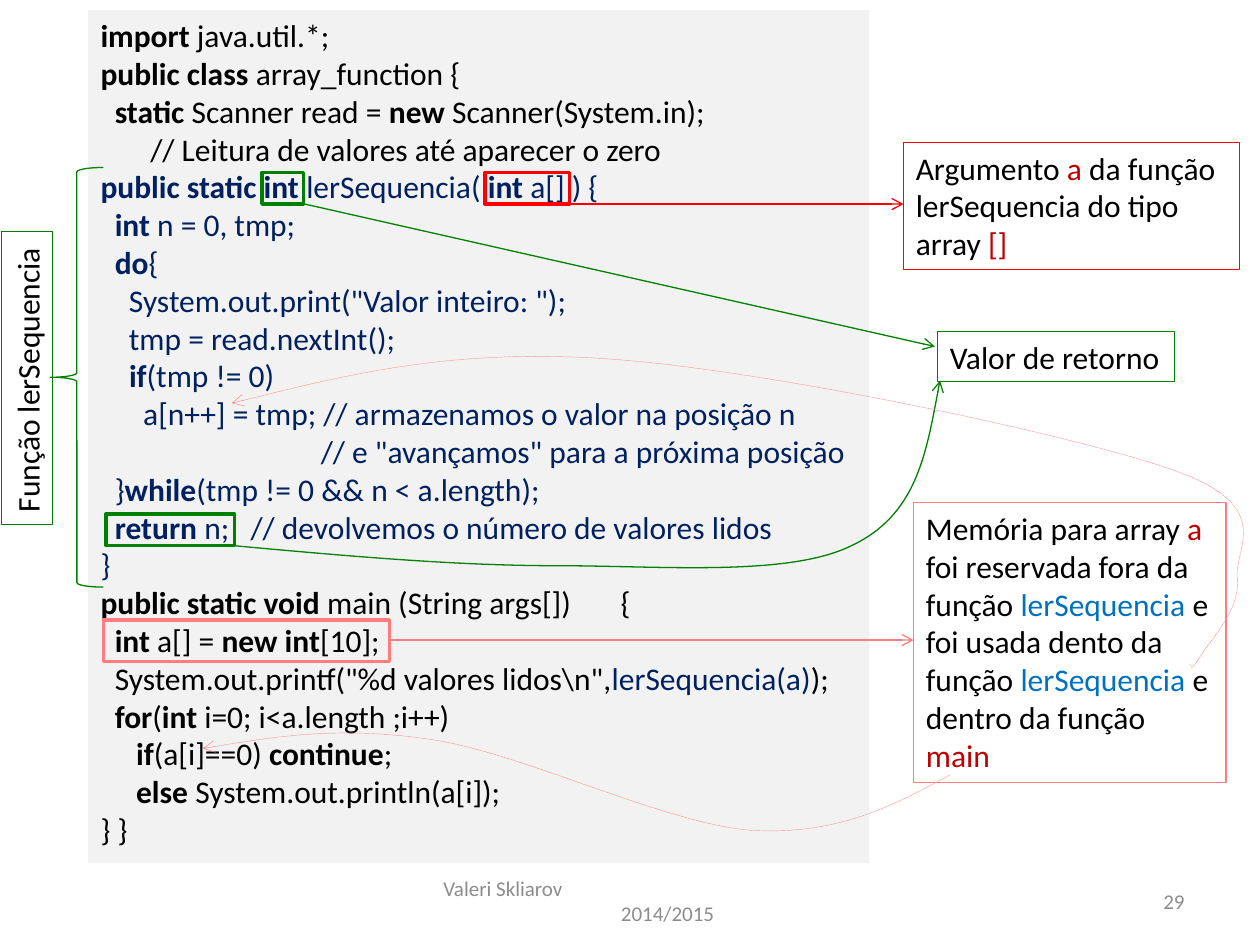
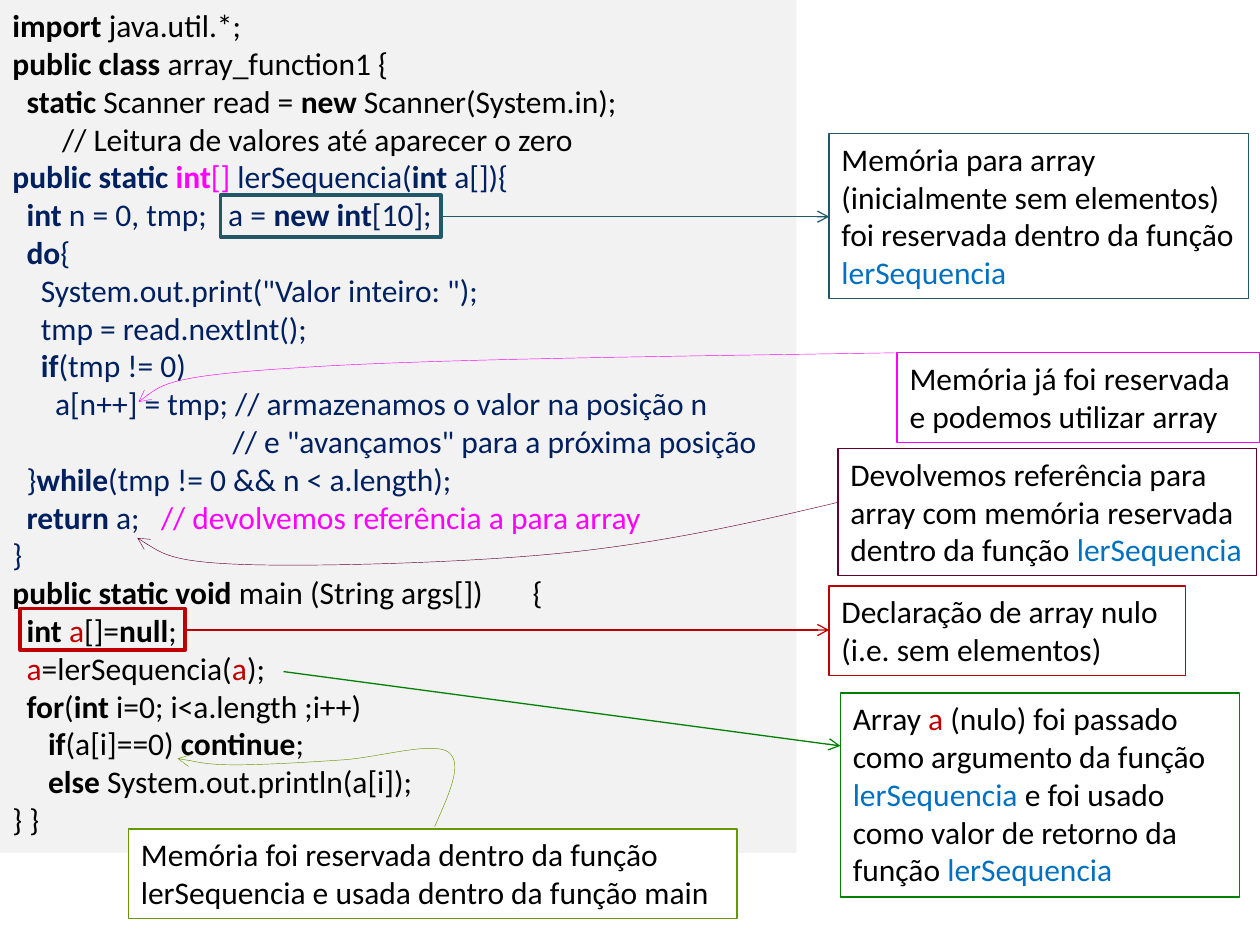
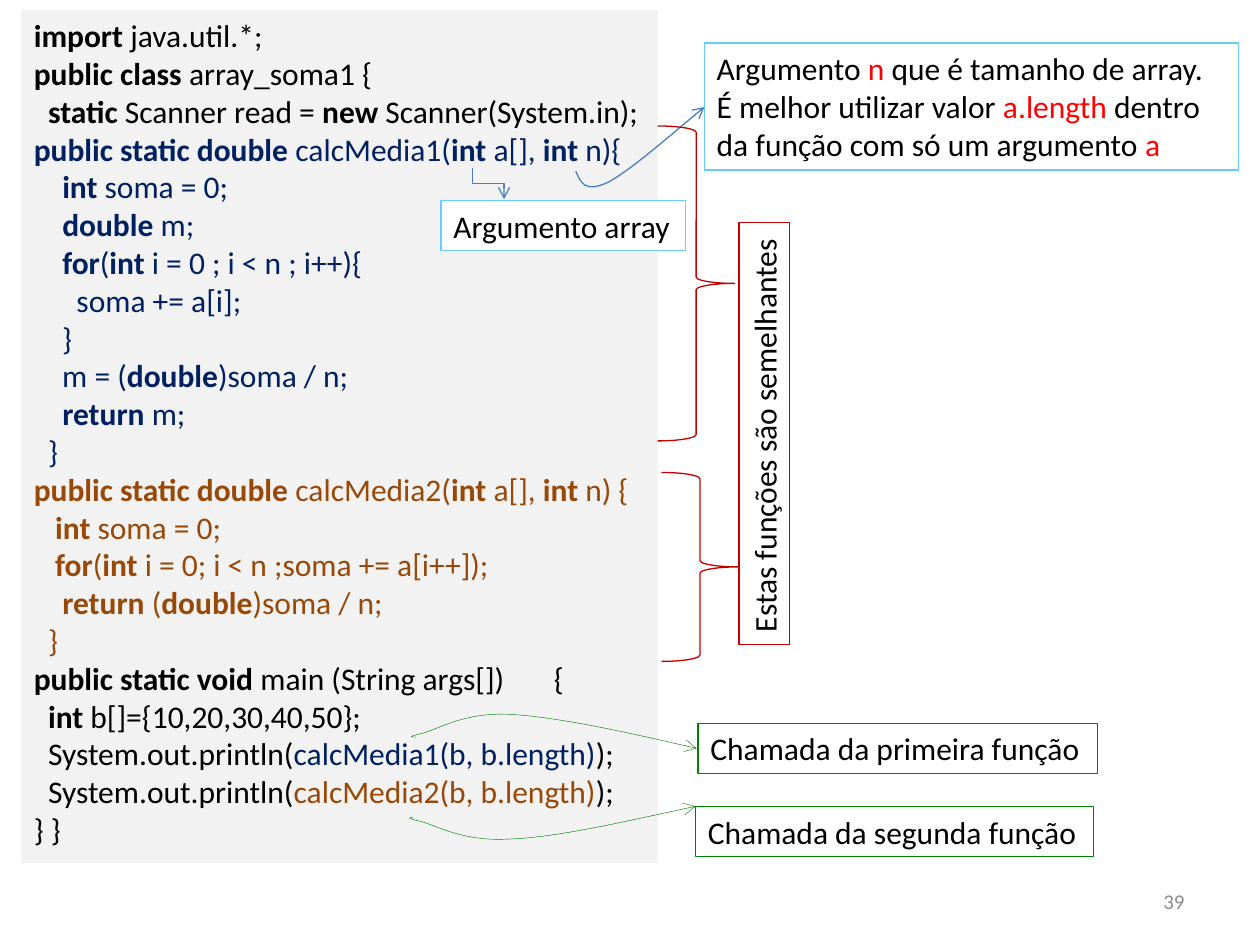
"""Build three slides that explain Java functions with array arguments."""
from dataclasses import dataclass, field
from functools import singledispatch
from typing import NamedTuple, Optional

from lxml.etree import Element, SubElement
from pptx import Presentation
from pptx.dml.color import RGBColor as Rgb
from pptx.enum.dml import MSO_LINE as Dash
from pptx.enum.shapes import MSO_CONNECTOR as Link, MSO_SHAPE as Form
from pptx.enum.text import MSO_ANCHOR as Anchor, MSO_AUTO_SIZE as Fit, PP_ALIGN as Align
from pptx.oxml.ns import qn
from pptx.slide import Slide
from pptx.util import Inches, Pt

WIDE, HIGH = Inches(10), Inches(7.5)
CELL = WIDE / 100
Spot = tuple[float, float]
Box = tuple[float, float, float, float]


@dataclass(frozen=True)
class Theme:
    """Colours by one-letter or plain name, and type and line sizes in points."""
    face: str = "Calibri"
    text: int = 18
    foot: int = 12
    thin: float = 0.75
    hair: float = 0.25
    bold: float = 2
    ink: dict[str, str] = field(default_factory=lambda: {
        "k": "000000", "n": "002060", "r": "C00000", "b": "0070C0",
        "m": "FF00FF", "o": "984807", "f": "FF0000", "w": "FFFFFF",
        "panel": "F2F2F2", "gray": "8C8C8C", "green": "008000",
        "pink": "FF7C80", "teal": "215968", "plum": "660033",
        "olive": "669900", "sky": "66CCFF", "steel": "4B7EBC"})

    def tint(self, key: str) -> Rgb:
        """Return the colour behind a key."""
        return Rgb.from_string(self.ink[key])


LOOK = Theme()


class Note(NamedTuple):
    """A text box; ` toggles bold and ~ plus a letter changes the colour."""
    box: Box
    text: list[str]
    edge: Optional[str] = None
    fill: Optional[str] = None
    wrap: bool = True
    turn: float = 0


class Frame(NamedTuple):
    """An outline around a piece of code, or a brace beside it."""
    box: Box
    edge: str
    form: Form = Form.RECTANGLE


class Arrow(NamedTuple):
    """A straight or bent arrow."""
    start: Spot
    end: Spot
    edge: str
    bent: bool = False


class Curve(NamedTuple):
    """A curved arrow: a start, then two handles and an end per piece."""
    spots: list[Spot]
    edge: str
    width: float = LOOK.hair
    dots: bool = False


Item = Note | Frame | Arrow | Curve


def emu(*cells: float) -> list[int]:
    """Turn grid cells into lengths."""
    return [round(n * CELL) for n in cells]


def stroke(shape, edge: str, width: float) -> None:
    """Set the colour and width of an outline."""
    shape.line.color.rgb = LOOK.tint(edge)
    shape.line.width = Pt(width)


def tip(shape) -> None:
    """Put an arrowhead at the end of a line."""
    line = shape._element.spPr.find(qn("a:ln"))
    SubElement(line, qn("a:tailEnd"), type="arrow")


def write(frame, lines: list[str]) -> None:
    """Write marked lines; the colour carries on from line to line."""
    key = "k"
    for i, line in enumerate(lines):
        para = frame.paragraphs[0] if i == 0 else frame.add_paragraph()
        para.font.name, para.font.size = LOOK.face, Pt(LOOK.text)
        for j, chunk in enumerate(line.split("`")):
            for k, piece in enumerate(chunk.split("~")):
                if k:
                    key, piece = piece[0], piece[1:]
                if piece:
                    run = para.add_run()
                    run.text = piece
                    run.font.bold = j % 2 == 1
                    run.font.color.rgb = LOOK.tint(key)


@singledispatch
def draw(item: Item, slide: Slide) -> None:
    """Draw one item on a slide."""
    raise TypeError(item)


@draw.register
def _(item: Note, slide: Slide) -> None:
    """Draw a text box."""
    shape = slide.shapes.add_textbox(*emu(*item.box))
    shape.rotation = item.turn
    frame = shape.text_frame
    frame.word_wrap = item.wrap
    frame.auto_size = Fit.SHAPE_TO_FIT_TEXT
    if item.fill:
        shape.fill.solid()
        shape.fill.fore_color.rgb = LOOK.tint(item.fill)
    if item.edge:
        stroke(shape, item.edge, LOOK.thin)
    write(frame, item.text)


@draw.register
def _(item: Frame, slide: Slide) -> None:
    """Draw a frame or a brace."""
    shape = slide.shapes.add_shape(item.form, *emu(*item.box))
    shape.shadow.inherit = False
    shape.fill.background()
    stroke(shape, item.edge, LOOK.bold if item.form == Form.RECTANGLE else LOOK.thin)


@draw.register
def _(item: Arrow, slide: Slide) -> None:
    """Draw a straight arrow, or one that leaves downwards and bends."""
    kind = Link.ELBOW if item.bent else Link.STRAIGHT
    shape = slide.shapes.add_connector(kind, *emu(*item.start, *item.end))
    stroke(shape, item.edge, LOOK.thin)
    tip(shape)
    props = shape._element.spPr
    SubElement(props, qn("a:effectLst"))
    if item.bent:
        frame = props.find(qn("a:xfrm"))
        frame.set("rot", "16200000")
        frame.set("flipH", "1")


@draw.register
def _(item: Curve, slide: Slide) -> None:
    """Draw a curved arrow."""
    spots = [emu(*spot) for spot in item.spots]
    pen = slide.shapes.build_freeform(*spots[0])
    pen.add_line_segments(spots[3::3], close=False)
    shape = pen.convert_to_shape()
    shape.shadow.inherit = False
    shape.fill.background()
    stroke(shape, item.edge, item.width)
    if item.dots:
        shape.line.dash_style = Dash.ROUND_DOT
    tip(shape)
    for i, piece in enumerate(list(shape._element.spPr.iter(qn("a:lnTo")))):
        piece.tag = qn("a:cubicBezTo")
        for j, (x, y) in enumerate(spots[3 * i + 1:3 * i + 3]):
            piece.insert(j, Element(qn("a:pt"), x=str(x - shape.left), y=str(y - shape.top)))


def foot(slide: Slide, box: Box, lines: list[str], align: Align, step: float = 0) -> None:
    """Write footer lines, each moved in by a step more than the last."""
    frame = slide.shapes.add_textbox(*emu(*box)).text_frame
    frame.word_wrap = True
    frame.vertical_anchor = Anchor.MIDDLE
    for i, line in enumerate(lines):
        para = frame.paragraphs[0] if i == 0 else frame.add_paragraph()
        para.text = line
        para.alignment = align
        if i:
            para._p.get_or_add_pPr().set("marL", str(*emu(i * step)))
        para.font.name, para.font.size = LOOK.face, Pt(LOOK.foot)
        para.font.color.rgb = LOOK.tint("gray")


def code(box: Box, lines: list[str]) -> Note:
    """Return a panel of code."""
    return Note(box, lines, fill="panel", wrap=False)


def top(name: str) -> list[str]:
    """Return the first lines of a class."""
    return ["`import `java.util.*;", f"`public class `{name} {{",
            "  `static` Scanner read = `new` Scanner(System.in);"]


HINT = "       // Leitura de valores até aparecer o zero"
LOOP = [
    "  `do`{",
    '    System.out.print("Valor inteiro: ");',
    "    tmp = read.nextInt();",
    "    `if`(tmp != 0)",
    "      a[n++] = tmp; // armazenamos o valor na posição n",
    '                               // e "avançamos" para a próxima posição',
    "  }`while`(tmp != 0 && n < a.length);",
]
MAIN = "~k`public static void` main (String args[])       {"
SHOW = [
    "  `for`(`int `i=0; i<a.length ;i++)",
    "     `if`(a[i]==0) `continue`;",
    "     `else `System.out.println(a[i]);",
    "} }",
]

FILL = [
    code((7, 0.8, 62, 67.7), [
        *top("array_function"), HINT,
        "~n`public static int `lerSequencia( `int `a[] ) {",
        "  `int` n = 0, tmp;", *LOOP,
        "  `return` n;   // devolvemos o número de valores lidos", "}",
        MAIN, "  `int` a[] = `new int`[10];",
        '  System.out.printf("%d valores lidos\\n",~nlerSequencia(a)~k);', *SHOW]),
    Frame((4, 13.3, 4.2, 33.3), "green", Form.LEFT_BRACE),
    Note((-9.5, 28, 23.3, 4), ["Função lerSequencia"], "green", wrap=False, turn=270),
    Frame((38.5, 13.7, 6.7, 2.5), "f"),
    Arrow((41.8, 16.2), (71.7, 16.2), "f"),
    Note((71.7, 11.3, 26.7, 10.1),
         ["Argumento ~ra~k da função lerSequencia do tipo array ~r[]"], "f"),
    Frame((20.8, 13.7, 3.3, 2.5), "green"),
    Frame((8.4, 40.8, 10.2, 2.5), "green"),
    Arrow((24.2, 16.2), (74.2, 27.5), "green"),
    Curve([(18.4, 43.3), (27.2, 44.1), (36, 44.9), (44.2, 44.9), (52.4, 44.9),
           (62.6, 45.8), (67.6, 43.3), (72.7, 40.9), (73.6, 35.5), (74.6, 30.2)],
          "green", LOOK.thin),
    Note((74.4, 26.3, 18.8, 4), ["Valor de retorno"], "green", wrap=False),
    Frame((8.2, 49.2, 22.7, 3.3), "pink"),
    Arrow((30.8, 50.8), (72.5, 50.8), "pink"),
    Note((72.5, 39.9, 24.8, 22.2),
         ["Memória para array ~ra~k foi reservada fora da função ~blerSequencia~k e foi "
          "usada dento da função ~blerSequencia~k e dentro da função ~rmain"], "pink"),
    Curve([(75.4, 61.5), (71, 63.9), (66.5, 66.3), (59.7, 65.9), (52.8, 65.4),
           (41.6, 59.8), (34.3, 58.7), (27, 57.6), (21.6, 58.5), (16.1, 59.4)],
          "pink", dots=True),
    Curve([(94.5, 52.7), (94.5, 53), (94.5, 53.3), (95.2, 52.2), (95.8, 51.1),
           (98.5, 48.4), (98.2, 45.9), (97.9, 43.5), (101.4, 40.2), (93.1, 37.3),
           (84.8, 34.4), (61, 29.4), (48.5, 28.5), (36.1, 27.6), (27.2, 29.8),
           (18.4, 32)], "pink", dots=True),
]

GIVE = [
    code((0, 0, 63.2, 67.7), [
        *top("array_function1"), HINT,
        "~n`public static ~mint`[] ~nlerSequencia(`int` a[]){",
        "  `int` n = 0, tmp;   a = `new int`[10];", *LOOP,
        "  `return` a;   ~m// devolvemos referência a para array", "~n}",
        MAIN, "  `int `~ra~k[]=`null`;", "  ~ra~k=lerSequencia(~ra~k);", *SHOW]),
    Frame((1.6, 48.3, 13.1, 3.3), "r"),
    Arrow((14.7, 50), (65.8, 50), "r"),
    Note((65.8, 46.5, 28.3, 7.1), ["Declaração de array nulo (i.e. sem elementos)"], "r"),
    Arrow((22.5, 53.3), (66.7, 59.2), "green"),
    Note((66.7, 55, 31.7, 16.2),
         ["Array ~ra~k (nulo) foi passado como argumento da função ~blerSequencia~k e foi "
          "usado como valor de retorno da função ~blerSequencia"], "green"),
    Frame((17.5, 15.5, 17.5, 3.3), "teal"),
    Arrow((35, 17.2), (65.8, 17.2), "teal"),
    Note((65.8, 10.6, 33.3, 13.1),
         ["Memória para array (inicialmente sem elementos) foi reservada dentro da "
          "função ~blerSequencia"], "teal"),
    Curve([(71, 28), (52.2, 28.3), (33.5, 28.5), (23.5, 29.2), (13.5, 29.8),
           (12.2, 30.9), (11, 31.9)], "m"),
    Note((71.2, 28, 28.8, 7.1), ["Memória já foi reservada e podemos utilizar array"], "m"),
    Curve([(66.8, 39.8), (59.7, 41.5), (52.5, 43.1), (44.6, 43.9), (36.7, 44.7),
           (24.8, 45), (19.2, 44.8), (13.6, 44.6), (12.3, 43.6), (10.9, 42.7)], "plum"),
    Note((66.5, 35.6, 33.2, 10.1),
         ["Devolvemos referência para array com memória reservada dentro da função "
          "~blerSequencia"], "plum", "w"),
    Curve([(34.5, 65.6), (35.6, 63.1), (36.8, 60.6), (35.6, 59.7), (34.4, 58.8),
           (30.1, 60.1), (27.3, 60.3), (24.4, 60.5), (20.9, 60.7), (18.7, 60.7),
           (16.5, 60.7), (14.8, 60.3), (14.1, 60.2)], "olive"),
    Note((10.2, 65.8, 48.3, 7.1),
         ["Memória foi reservada dentro da função lerSequencia e usada dentro da "
          "função main"], "olive", "w"),
]

MEAN = [
    code((1.7, 0.8, 50.5, 67.7), [
        *top("array_soma1"),
        "~n`public static double` calcMedia1(`int` a[], `int` n){",
        "    `int` soma = 0;", "    `double` m;",
        "    `for`(`int `i = 0 ; i < n ; i++){", "      soma += a[i];", "    }",
        "    m = (`double`)soma / n;", "    `return` m;", "  }",
        "~o`public static double` calcMedia2(`int` a[], `int` n) {",
        "   `int` soma = 0;", "   `for`(`int `i = 0; i < n ;soma += a[i++]);",
        "    `return` (`double`)soma / n;", "  }",
        MAIN, "  `int` b[]={10,20,30,40,50};",
        "  System.out.println(~ncalcMedia1(b, b.length)~k);",
        "  System.out.println(~ocalcMedia2(b, b.length)~k);", "} }"]),
    Arrow((37.5, 13.3), (40, 15.8), "steel", bent=True),
    Note((35, 15.9, 19.4, 4), ["Argumento array"], "sky", "w", wrap=False),
    Curve([(45.7, 13.6), (46.1, 14.5), (46.4, 15.3), (48.2, 14.5), (49.9, 13.6),
           (52.9, 11), (55.9, 8.5)], "steel", LOOK.thin),
    Note((55.9, 3.4, 42.4, 10.1),
         ["Argumento ~fn~k que é tamanho de array.",
          "É melhor utilizar valor ~fa.length~k dentro da função com só um argumento ~fa"],
         "sky"),
    Frame((52.2, 10, 6.1, 25), "r", Form.RIGHT_BRACE),
    Frame((52.5, 37.5, 6.1, 15), "r", Form.RIGHT_BRACE),
    Note((43.9, 32.4, 33.5, 4), ["Estas funções são semelhantes"], "r", wrap=False, turn=270),
    Curve([(33, 58.5), (32.6, 58.5), (32.3, 58.5), (33.5, 58.2), (34.8, 57.9),
           (36.8, 56.5), (40.5, 56.7), (44.1, 56.9), (49.7, 58.1), (55.3, 59.4)], "green"),
    Note((55.4, 57.4, 31.7, 4), ["Chamada da primeira função"], "green", wrap=False),
    Curve([(32.8, 64.9), (32.5, 64.9), (32.1, 64.9), (33.4, 65.2), (34.6, 65.5),
           (36.7, 66.8), (40.3, 66.6), (44, 66.5), (49.6, 65.2), (55.2, 64)], "green"),
    Note((55.2, 64, 31.6, 4), ["Chamada da segunda função"], "green", wrap=False),
]


class Page(NamedTuple):
    """The items of one slide with its number and footer."""
    items: list[Item]
    number: str = ""
    credit: tuple[str, ...] = ()


PAGES = [Page(FILL, "29", ("Valeri Skliarov", "2014/2015")), Page(GIVE), Page(MEAN, "39")]


def main() -> None:
    """Build and save the slides."""
    deck = Presentation()
    deck.slide_width, deck.slide_height = WIDE, HIGH
    for page in PAGES:
        slide = deck.slides.add_slide(deck.slide_layouts[6])
        if page.credit:
            foot(slide, (34.2, 69.5, 31.7, 4), list(page.credit), Align.LEFT, 14.1)
        if page.number:
            foot(slide, (71.7, 69.5, 23.3, 4), [page.number], Align.RIGHT)
        for item in page.items:
            draw(item, slide)
    deck.save("out.pptx")


if __name__ == "__main__":
    main()
